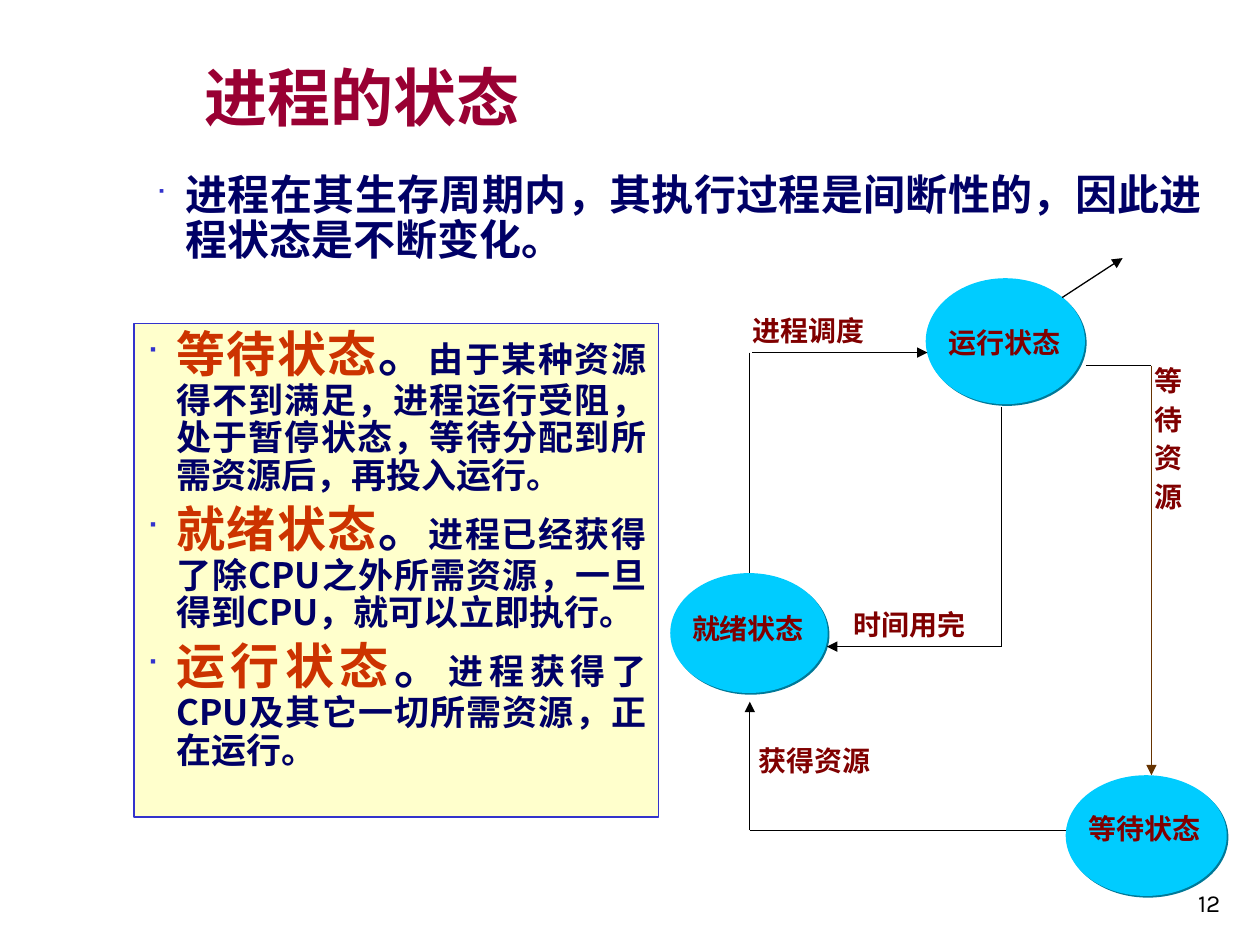
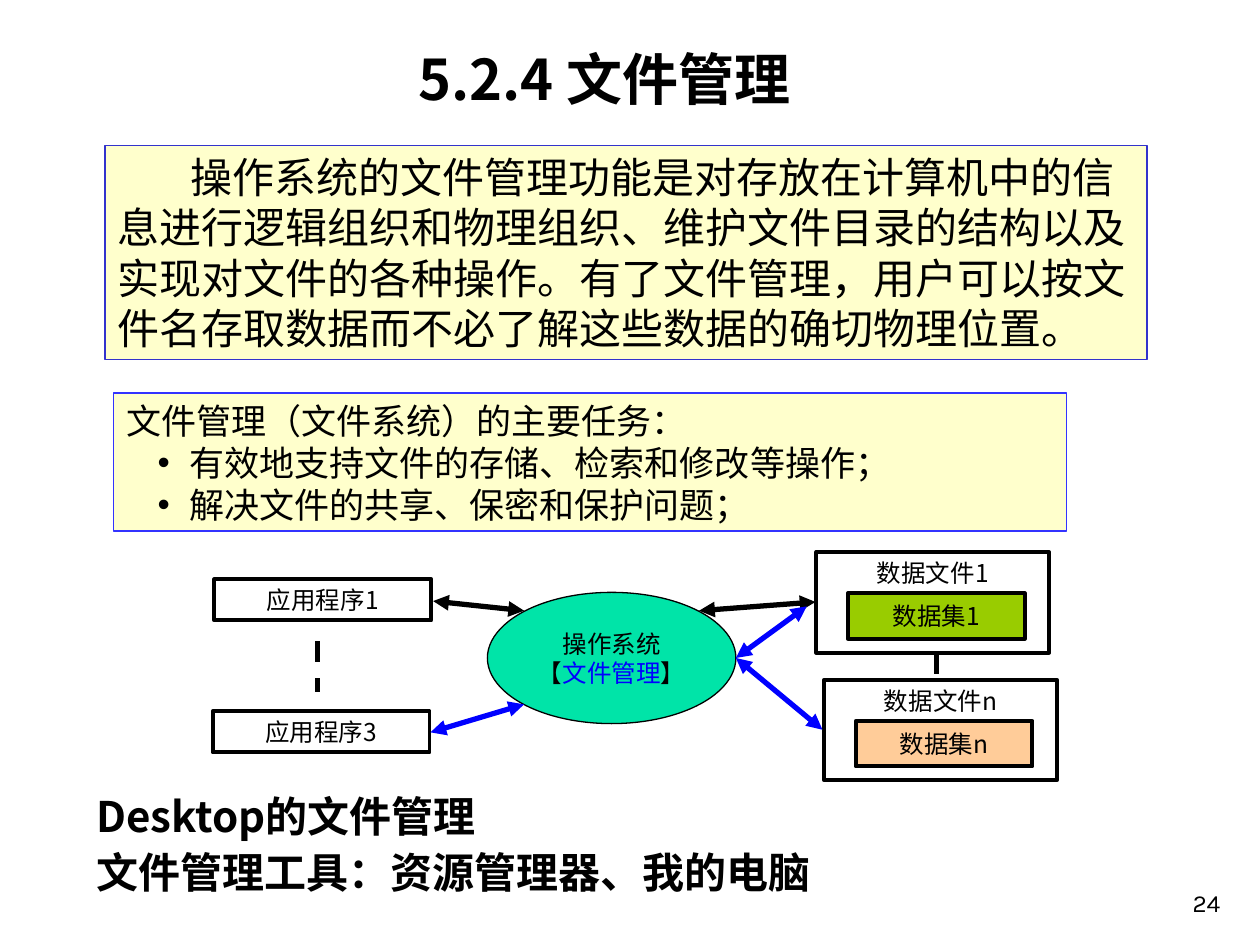
from lxml.etree import SubElement
from pptx import Presentation
from pptx.dml.color import RGBColor
from pptx.enum.dml import MSO_LINE
from pptx.enum.shapes import MSO_CONNECTOR, MSO_SHAPE
from pptx.enum.text import MSO_ANCHOR, PP_ALIGN
from pptx.oxml.ns import qn
from pptx.util import Pt

SANS = "Noto Sans CJK SC"
TITLE = "Noto Sans CJK JP"
LATIN = "Karla"
BLACK = "000000"
BLUE = "0000FF"
NAVY = "000066"
WINE = "990033"
BROWN = "800000"
RUST = "CC3300"
CREAM = "FFFFCC"
EDGE = "3333CC"
SKY = "00CCFF"
SHADE = "007998"


def hue(code):
    return RGBColor.from_string(code)


def style(font, size=None, tint=None, bold=None, face=None):
    if size:
        font.size = Pt(size)
    if tint:
        font.color.rgb = hue(tint)
    if bold is not None:
        font.bold = bold
    if face:
        font.name = face
        east = SANS if face == LATIN else face
        SubElement(font._rPr, qn("a:ea"), typeface=east)


def mark(para, char, tint, left, hang, face=None, scale=None):
    props = para._p.get_or_add_pPr()
    props.set("marL", str(Pt(left)))
    props.set("indent", str(-Pt(hang)))
    color = SubElement(props, qn("a:buClr"))
    SubElement(color, qn("a:srgbClr"), val=tint)
    if scale:
        SubElement(props, qn("a:buSzPct"), val=str(scale * 1000))
    if face:
        SubElement(props, qn("a:buFont"), typeface=face)
    SubElement(props, qn("a:buChar"), char=char)


def square(para):
    mark(para, "■", EDGE, 17, 17, "Wingdings", 60)


def dot(para):
    mark(para, "•", BLACK, 36, 18, "Arial")


def write(body, runs, size, tint=BLACK, bold=False, face=SANS,
          align=PP_ALIGN.LEFT, space=None, before=0, bullet=None):
    first = not body.paragraphs[0].runs
    para = body.paragraphs[0] if first else body.add_paragraph()
    if bullet:
        bullet(para)
    para.alignment = align
    if space:
        para.line_spacing = space
    if before and not first:
        para.space_before = Pt(before)
    style(para.font, size, tint, bold, face)
    for text, *look in [(runs,)] if isinstance(runs, str) else runs:
        run = para.add_run()
        run.text = text
        style(run.font, *look)
    return para


def setup(shape, anchor=MSO_ANCHOR.TOP, wrap=True, inset=(7.2, 3.6)):
    body = shape.text_frame
    body.word_wrap = wrap
    body.vertical_anchor = anchor
    body.margin_left = body.margin_right = Pt(inset[0])
    body.margin_top = body.margin_bottom = Pt(inset[1])
    return body


def area(slide, box, **opts):
    return setup(slide.shapes.add_textbox(*map(Pt, box)), **opts)


def block(slide, kind, box, fill=None, line=None, width=0.75):
    shape = slide.shapes.add_shape(kind, *map(Pt, box))
    shape.shadow.inherit = False
    if fill:
        shape.fill.solid()
        shape.fill.fore_color.rgb = hue(fill)
    else:
        shape.fill.background()
    if line:
        shape.line.color.rgb = hue(line)
        shape.line.width = Pt(width)
    else:
        shape.line.fill.background()
    return shape


def panel(slide, box, edge=EDGE):
    return setup(block(slide, MSO_SHAPE.RECTANGLE, box, CREAM, edge))


def state(slide, box):
    shape = block(slide, MSO_SHAPE.OVAL, box, SKY)
    effects = shape._element.spPr.find(qn("a:effectLst"))
    shadow = SubElement(effects, qn("a:outerShdw"), dist=str(Pt(1.4)),
                        dir="2700000", algn="ctr", rotWithShape="0")
    SubElement(shadow, qn("a:srgbClr"), val=SHADE)


def label(slide, text, left, top):
    box = (left, top, 16 * len(text), 19.5)
    write(area(slide, box, wrap=False, inset=(0, 0)), text, 16, BROWN, True)


def card(slide, text, box, fill=None, anchor=MSO_ANCHOR.MIDDLE):
    shape = block(slide, MSO_SHAPE.RECTANGLE, box, fill, BLACK, 2.25)
    write(setup(shape, anchor, False), text, 14, align=PP_ALIGN.CENTER)


def link(slide, ends, tint=BLACK, width=0.75, tips=(), dash=False):
    line = slide.shapes.add_connector(MSO_CONNECTOR.STRAIGHT, *map(Pt, ends))
    line.line.color.rgb = hue(tint)
    line.line.width = Pt(width)
    if dash:
        line.line.dash_style = MSO_LINE.DASH
    props = line._element.spPr
    for tip in tips:
        SubElement(props.find(qn("a:ln")), qn(f"a:{tip}End"), type="triangle")
    SubElement(props, qn("a:effectLst"))


def number(slide, text):
    body = area(slide, (554.5, 492, 150, 36), anchor=MSO_ANCHOR.BOTTOM)
    write(body, text, 14, face=LATIN, align=PP_ALIGN.RIGHT)


def process(slide):
    body = area(slide, (110, 26, 261, 54), anchor=MSO_ANCHOR.BOTTOM)
    write(body, "进程的状态", 36, WINE, True, TITLE)
    write(area(slide, (82, 96, 612, 72)),
          "进程在其生存周期内，其执行过程是间断性的，因此进程状态是不断变化。",
          24, NAVY, True, align=PP_ALIGN.JUSTIFY, space=0.9, bullet=square)

    notes = panel(slide, (76.5, 185, 300, 282))
    for name, text in (
        ("等待状态", "由于某种资源得不到满足，进程运行受阻，处于暂停状态，等待分配到所需资源后，再投入运行。"),
        ("就绪状态", "进程已经获得了除CPU之外所需资源，一旦得到CPU，就可以立即执行。"),
        ("运行状态", "进程获得了CPU及其它一切所需资源，正在运行。"),
    ):
        write(notes, [(name, 28, RUST), ("。", 28), (text, 20)], 20, NAVY, True,
              align=PP_ALIGN.JUSTIFY, space=0.9, before=5, bullet=square)

    for box in ((529, 159, 91, 72), (609, 443, 92, 69), (383, 327.5, 90, 68.5)):
        state(slide, box)
    for text, left, top in (
        ("运行状态", 542, 186), ("等待状态", 622, 464), ("就绪状态", 395.5, 349.5),
        ("进程调度", 430, 179), ("时间用完", 488, 347), ("获得资源", 433.5, 425),
    ):
        label(slide, text, left, top)
    for row, char in enumerate("等待资源"):
        label(slide, char, 659.5, 208 + 22 * row)

    for ends in ((620.5, 209, 658, 209), (428.5, 474.5, 609, 474.5),
                 (428.5, 201.5, 428.5, 327.5)):
        link(slide, ends)
    link(slide, (572.5, 232.5, 572.5, 369.5), width=0.5)
    for ends in ((428.5, 474.5, 428.5, 401), (430, 201.5, 530, 201.5),
                 (572.5, 369.5, 472.5, 369.5), (607, 170, 641.5, 147.5)):
        link(slide, ends, tips=["tail"])
    link(slide, (658, 209, 658, 443), "663300", 0.5, ["tail"])
    number(slide, "12")


def files(slide):
    write(area(slide, (155.5, 26, 380, 42)), "5.2.4 文件管理", 32, bold=True,
          align=PP_ALIGN.CENTER, space=0.9)
    intro = write(panel(slide, (60, 83, 595.5, 122.5)),
                  "操作系统的文件管理功能是对存放在计算机中的信息进行逻辑组织和物理组织、"
                  "维护文件目录的结构以及实现对文件的各种操作。有了文件管理，"
                  "用户可以按文件名存取数据而不必了解这些数据的确切物理位置。", 24)
    intro._p.get_or_add_pPr().set("indent", str(Pt(42)))

    tasks = panel(slide, (65, 224.5, 544.5, 79), "3333FF")
    write(tasks, "文件管理（文件系统）的主要任务：", 20, face=LATIN)
    for text in ("有效地支持文件的存储、检索和修改等操作；",
                 "解决文件的共享、保密和保护问题；"):
        write(tasks, text, 20, face=LATIN, bullet=dot)

    tools = area(slide, (48, 451.5, 544.5, 65.5))
    for text in ("Desktop的文件管理", "文件管理工具：资源管理器、我的电脑"):
        write(tools, text, 24, bold=True, space=0.9, before=6)

    for text, left, top in (("应用程序1", 122.5, 331), ("应用程序3", 121.5, 406.5)):
        card(slide, text, (left, top, 124, 23.5))
    for key, fill, left, top in (("1", "99CC00", 466.5, 315.5),
                                 ("n", "FFCC99", 471, 388.5)):
        card(slide, "数据文件" + key, (left, top, 133, 57.5), anchor=MSO_ANCHOR.TOP)
        card(slide, "数据集" + key, (left + 18, top + 23.5, 101, 26), fill)

    for ends in ((181.5, 366.5, 181.5, 395.5), (535, 373, 535, 390)):
        link(slide, ends, width=3, dash=True)
    shape = block(slide, MSO_SHAPE.OVAL, (278.5, 338.5, 142, 75), "00E4A8", BLACK)
    core = setup(shape, MSO_ANCHOR.MIDDLE, False)
    for runs in ("操作系统", [("【",), ("文件管理", None, BLUE), ("】",)]):
        write(core, runs, 14, align=PP_ALIGN.CENTER)

    for tint, ends in (
        (BLACK, (247.5, 343.5, 299.5, 349)), (BLUE, (246, 418.5, 299.5, 402.5)),
        (BLACK, (399.5, 349, 466, 344)), (BLUE, (470, 417, 420.5, 376)),
        (BLUE, (461, 346.5, 420.5, 376)),
    ):
        link(slide, ends, tint, 3, ["head", "tail"])
    number(slide, "24")


def main():
    deck = Presentation()
    deck.slide_width, deck.slide_height = Pt(720), Pt(540)
    for build in (process, files):
        build(deck.slides.add_slide(deck.slide_layouts[6]))
    deck.save("out.pptx")


if __name__ == "__main__":
    main()
